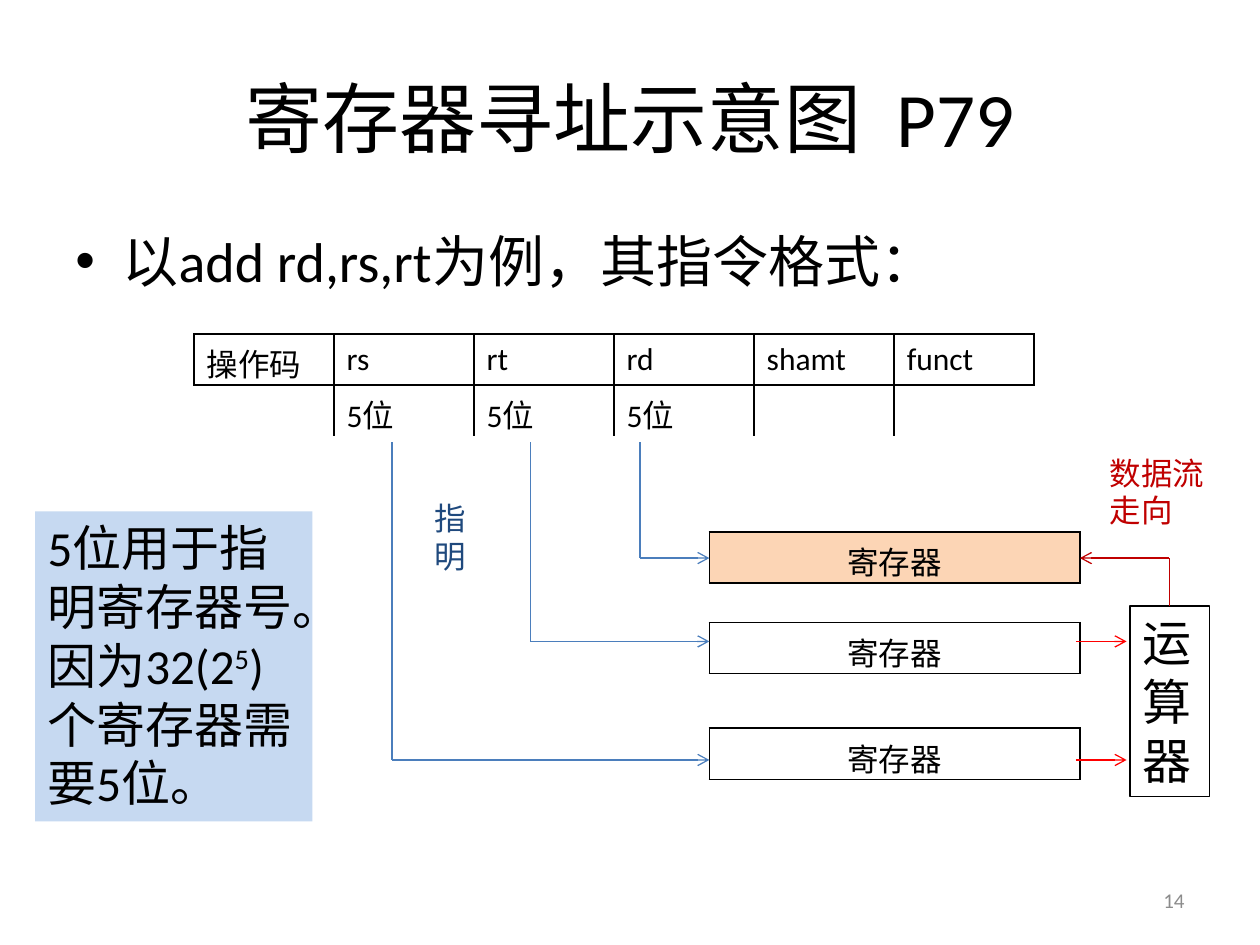
from lxml import etree
from pptx import Presentation
from pptx import util as u
from pptx.dml.color import RGBColor
from pptx.enum import shapes, text
from pptx.oxml import ns

COLORS = {
    "black": "000000",
    "grey": "8C8C8C",
    "blue": "4B7EBC",
    "navy": "1F497D",
    "pale_blue": "C6D9F1",
    "peach": "FCD5B5",
    "red": "FF0000",
    "dark_red": "C00000",
}
FONT = "Calibri"
Cm = u.Cm


def write(frame, content, size=18, color="black", align=text.PP_ALIGN.LEFT,
          anchor=None, bullet=None):
    """Fill a text frame with a string or with (string, run attributes) pairs."""
    frame.word_wrap = True
    if anchor is not None:
        frame.vertical_anchor = anchor
    paragraph = frame.paragraphs[0]
    paragraph.alignment = align
    if bullet:
        props = paragraph._p.get_or_add_pPr()
        props.set("marL", str(Cm(0.95)))
        props.set("indent", str(-Cm(0.95)))
        etree.SubElement(props, ns.qn("a:buFont")).set("typeface", "Arial")
        etree.SubElement(props, ns.qn("a:buChar")).set("char", bullet)
    pieces = [(content, {})] if isinstance(content, str) else content
    for piece, attributes in pieces:
        run = paragraph.add_run()
        run.text = piece
        run.font.size = u.Pt(size)
        run.font.name = FONT
        run.font.color.rgb = RGBColor.from_string(COLORS[color])
        for key, value in attributes.items():
            run._r.get_or_add_rPr().set(key, value)


def add_grid(rows, left, top, width, align=text.PP_ALIGN.LEFT, fill=None,
             open_rows=(), bottom_margin=0.13):
    """Add a ruled table; open rows have no outer side or bottom borders."""
    height = 1.03
    last = len(rows[0]) - 1
    grid = slide.shapes.add_table(len(rows), last + 1, Cm(left), Cm(top),
                                  Cm(width), Cm(height * len(rows))).table
    grid.first_row = grid.horz_banding = False
    for r, row in enumerate(rows):
        for c, label in enumerate(row):
            cell = grid.cell(r, c)
            cell.margin_bottom = Cm(bottom_margin)
            is_open = r in open_rows
            hidden = {"L": is_open and c == 0, "R": is_open and c == last,
                      "T": False, "B": is_open}
            for side, hide in hidden.items():
                border = etree.SubElement(cell._tc.get_or_add_tcPr(),
                                          ns.qn("a:ln" + side), w=str(u.Pt(1)))
                if hide:
                    etree.SubElement(border, ns.qn("a:noFill"))
                else:
                    paint = etree.SubElement(border, ns.qn("a:solidFill"))
                    etree.SubElement(paint, ns.qn("a:srgbClr"), val=COLORS["black"])
            if fill:
                cell.fill.solid()
                cell.fill.fore_color.rgb = RGBColor.from_string(COLORS[fill])
            else:
                cell.fill.background()
            if label:
                write(cell.text_frame, label, align=align)


deck = Presentation()
deck.slide_width, deck.slide_height = Cm(25.4), Cm(19.05)
slide = deck.slides.add_slide(deck.slide_layouts[6])

# Title, bullet line, page number and diagram captions
middle = text.MSO_ANCHOR.MIDDLE
title = [("寄存器寻址示意图", {}), (" ", {"spc": "1000"}), ("P79", {})]
captions = [
    (title, (1.27, 0.76, 22.86, 3.18),
     dict(size=44, align=text.PP_ALIGN.CENTER, anchor=middle)),
    ("以add rd,rs,rt为例，其指令格式：", (1.27, 4.45, 22.86, 1.88),
     dict(size=32, bullet="•")),
    ("14", (18.2, 17.65, 5.93, 1.01),
     dict(size=12, color="grey", align=text.PP_ALIGN.RIGHT, anchor=middle)),
    ("数据流走向", (22.12, 9.02, 2.9, 1.8), dict(color="dark_red")),
    ("指明", (8.51, 9.93, 1.4, 1.8), dict(color="navy")),
]
for content, box, style in captions:
    caption = slide.shapes.add_textbox(*map(Cm, box))
    write(caption.text_frame, content, **style)

# Instruction format
add_grid([["操作码", "rs", "rt", "rd", "shamt", "funct"],
          ["", "5位", "5位", "5位", "", ""]],
         3.91, 6.73, 16.94, open_rows=(1,))

# Registers
register_left, register_width = 14.3, 7.47
for top, fill, margin in [(10.72, "peach", 0.13), (12.55, None, 0), (14.68, None, 0)]:
    add_grid([["寄存器"]], register_left, top, register_width,
             align=text.PP_ALIGN.CENTER, fill=fill, bottom_margin=margin)

# Explanation and arithmetic unit
note = [("5位用于指明寄存器号。因为32(2", {}), ("5", {"baseline": "30000"}),
        (")个寄存器需要5位。", {})]
panels = [(note, (0.71, 10.31, 5.59, 6.25), "pale_blue", None),
          ("运算器", (22.78, 12.22, 1.6, 3.84), None, "black")]
for content, box, fill, outline in panels:
    panel = slide.shapes.add_shape(shapes.MSO_SHAPE.RECTANGLE, *map(Cm, box))
    panel.shadow.inherit = False
    if fill:
        panel.fill.solid()
        panel.fill.fore_color.rgb = RGBColor.from_string(COLORS[fill])
    else:
        panel.fill.background()
    if outline:
        panel.line.color.rgb = RGBColor.from_string(COLORS[outline])
        panel.line.width = u.Pt(0.75)
    else:
        panel.line.fill.background()
    write(panel.text_frame, content, size=28, anchor=text.MSO_ANCHOR.TOP)

# Routes: each is a list of points whose last segment carries the arrowhead
rd_y, rt_y, rs_y = 11.25, 12.93, 15.32
routes = [("blue", [(x, 8.92), (x, y), (register_left, y)])
          for x, y in [(7.9, rs_y), (10.69, rt_y), (12.9, rd_y)]]
routes += [("red", [(21.69, y), (22.71, y)]) for y in (rt_y, rs_y)]
routes.append(("dark_red", [(23.57, 12.22), (23.57, rd_y),
                            (register_left + register_width, rd_y)]))
for color, points in routes:
    for start, end in zip(points, points[1:]):
        segment = slide.shapes.add_connector(shapes.MSO_CONNECTOR.STRAIGHT,
                                             *map(Cm, start + end))
        segment.line.color.rgb = RGBColor.from_string(COLORS[color])
        segment.line.width = u.Pt(0.75)
        if end == points[-1]:
            etree.SubElement(segment.line._get_or_add_ln(), ns.qn("a:tailEnd"),
                             type="arrow")
        etree.SubElement(segment._element.spPr, ns.qn("a:effectLst"))

deck.save("out.pptx")
